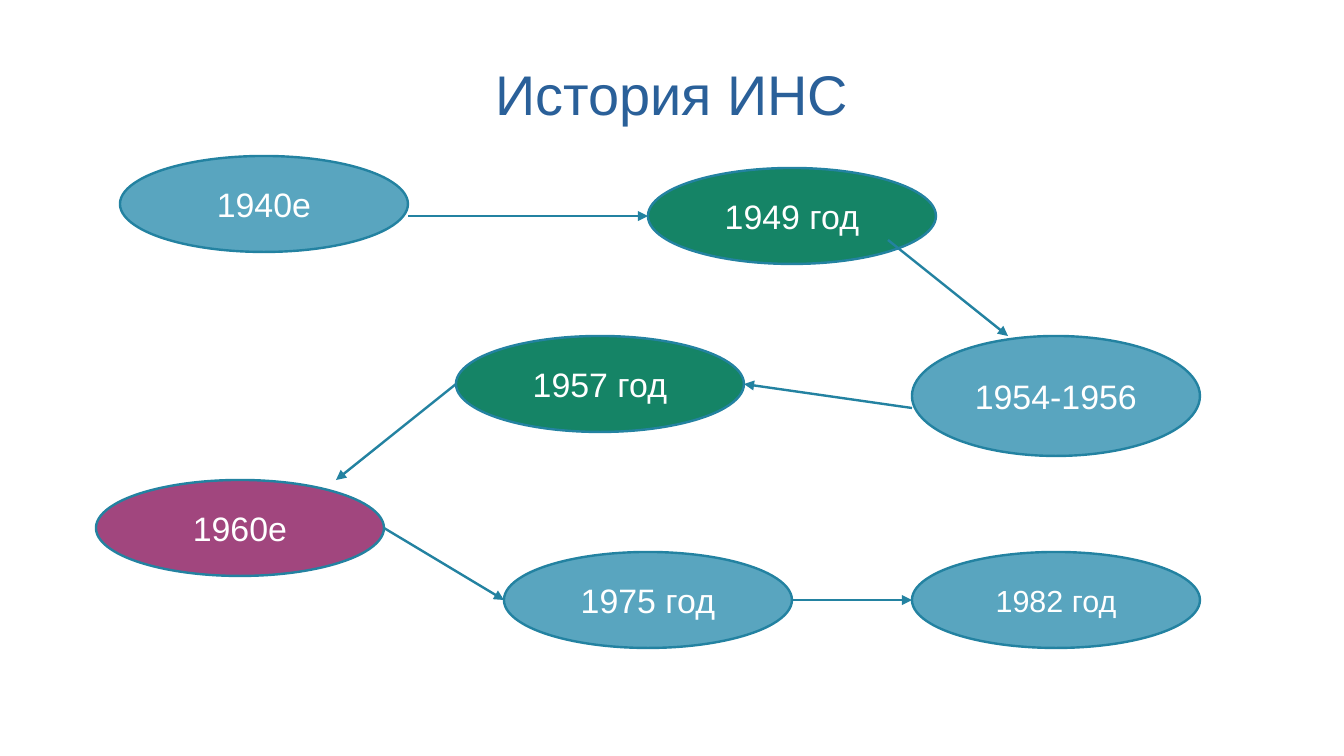
import pptx
import pptx.util
import pptx.dml.color
import pptx.enum.shapes
import pptx.enum.text
import pptx.oxml.ns
import lxml.etree

PX = 7500  # EMU in one px
RGB = pptx.dml.color.RGBColor
BLUE = RGB(0x59, 0xA5, 0xBF)
GREEN = RGB(0x15, 0x84, 0x66)
PLUM = RGB(0xA1, 0x46, 0x7E)
EDGE = RGB(0x23, 0x82, 0xA1)
NAVY = RGB(0x2A, 0x60, 0x99)
WHITE = RGB(0xFF, 0xFF, 0xFF)
WIDTH, HEIGHT = 1344, 756

# Label, box, fill, text size
DATES = [
    ("1940е", (120, 156, 288, 96), BLUE, 20),
    ("1949 год", (648, 168, 288, 96), GREEN, 20),
    ("1954-1956", (912, 336, 288, 120), BLUE, 20),
    ("1957 год", (456, 336, 288, 96), GREEN, 20),
    ("1960е", (96, 480, 288, 96), PLUM, 20),
    ("1975 год", (504, 552, 288, 96), BLUE, 20),
    ("1982 год", (912, 552, 288, 96), BLUE, 18),
]
# Start and end of each arrow, as offsets from the boxes it joins
LINKS = [
    ((288, 60), (0, 48)),
    ((240, 72), (96, 0)),
    ((0, 72), (288, 48)),
    ((0, 48), (240, 0)),
    ((288, 48), (0, 48)),
    ((288, 48), (0, 48)),
]


def emu(nums):
    return [pptx.util.Emu(n * PX) for n in nums]


def write(shape, text, size, color, pad, wrap):
    frame = shape.text_frame
    side, end = emu(pad)
    form = {
        "margin_left": side, "margin_right": side,
        "margin_top": end, "margin_bottom": end,
        "word_wrap": wrap,
        "vertical_anchor": pptx.enum.text.MSO_ANCHOR.MIDDLE,
    }
    for name, value in form.items():
        setattr(frame, name, value)
    para = frame.paragraphs[0]
    para.alignment = pptx.enum.text.PP_ALIGN.CENTER
    run = para.add_run()
    run.text = text
    for name, value in {"name": "Arial", "size": pptx.util.Pt(size)}.items():
        setattr(run.font, name, value)
    run.font.color.rgb = color


def stroke(line):
    line.color.rgb = EDGE
    line.width = pptx.util.Pt(1.42)


def title(slide, box, text):
    write(slide.shapes.add_textbox(*emu(box)), text, 33, NAVY, (0, 0), True)


def date(slide, box, text, fill, size):
    oval = slide.shapes.add_shape(
        pptx.enum.shapes.MSO_SHAPE.OVAL, *emu(box))
    oval.shadow.inherit = False
    oval.fill.solid()
    oval.fill.fore_color.rgb = fill
    stroke(oval.line)
    write(oval, text, size, WHITE, (12, 6), False)


def arrow(slide, start, end):
    link = slide.shapes.add_connector(
        pptx.enum.shapes.MSO_CONNECTOR.STRAIGHT, *emu(start + end))
    stroke(link.line)
    qn = pptx.oxml.ns.qn
    props = link.element.spPr
    lxml.etree.SubElement(props.find(qn("a:ln")), qn("a:tailEnd"),
                          type="triangle")
    lxml.etree.SubElement(props, qn("a:effectLst"))


def chain(slide):
    """Draw the dates and an arrow from each one to the next."""
    for text, box, fill, size in DATES:
        date(slide, box, text, fill, size)
    for (dx, dy), (ex, ey), now, then in zip(
            *zip(*LINKS), DATES, DATES[1:]):
        x, y = now[1][:2]
        u, v = then[1][:2]
        arrow(slide, (x + dx, y + dy), (u + ex, v + ey))


def main():
    deck = pptx.Presentation()
    deck.slide_width, deck.slide_height = emu((WIDTH, HEIGHT))
    slide = deck.slides.add_slide(deck.slide_layouts[6])
    title(slide, (67, 30, WIDTH - 2 * 67, 127), "История ИНС")
    chain(slide)
    deck.save("out.pptx")


if __name__ == "__main__":
    main()
